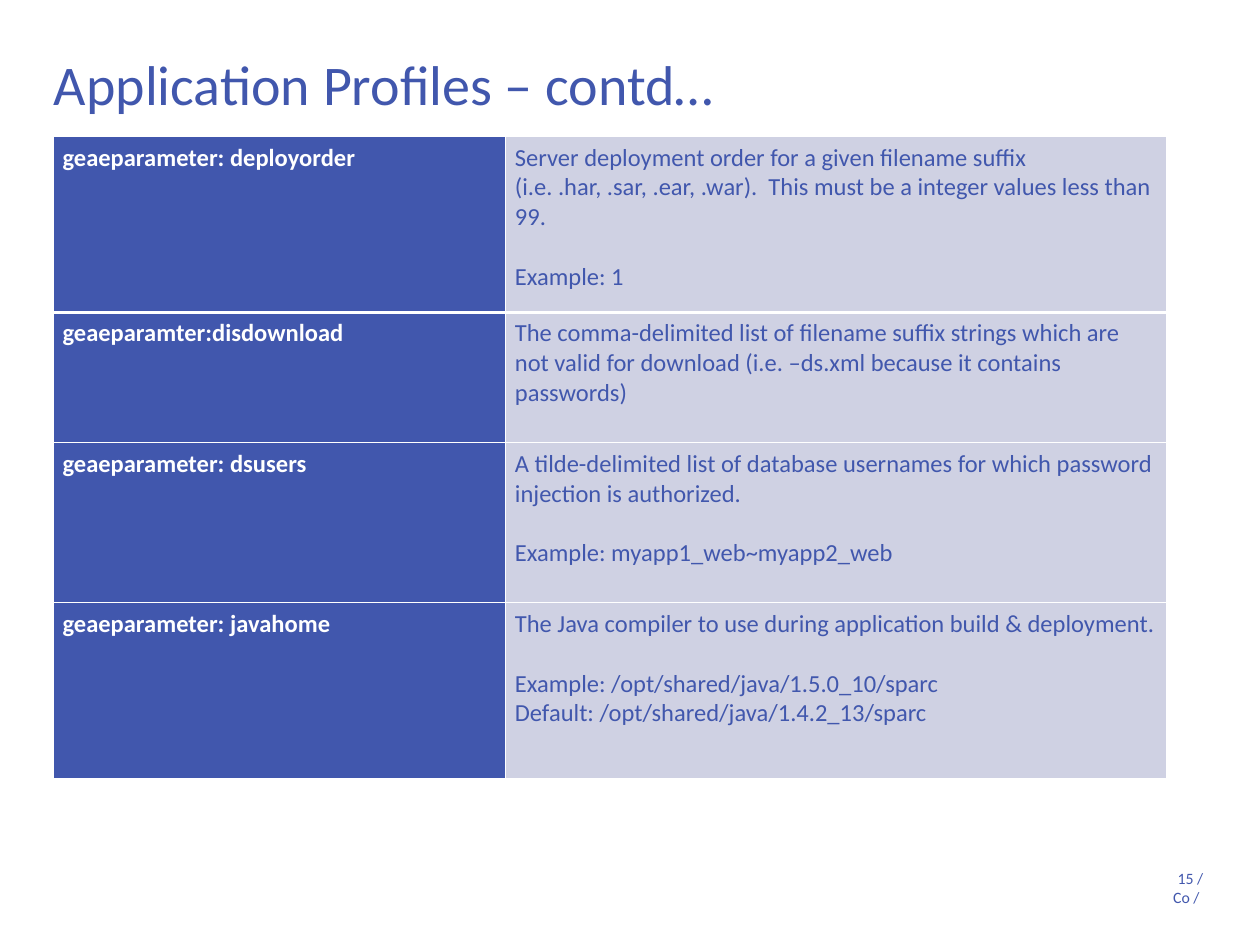
import pptx
import pptx.dml.color
import pptx.enum.text
import pptx.oxml
import pptx.oxml.ns
import pptx.util

Pt = pptx.util.Pt
ALIGN = pptx.enum.text.PP_ALIGN
COLORS = {"blue": "4157AD", "lavender": "CFD1E3", "white": "FFFFFF"}
COLUMN_WIDTHS = [258.5, 378]
ROW_HEIGHTS = [100.5, 74.5, 91.5, 100.5]
THIN_RULE, HEADER_RULE = 0.45, 1.47
GAP = 17
PROFILES = [
    ("geaeparameter: deployorder",
     ["Server deployment order for a given filename suffix (i.e. .har, .sar, .ear, .war).  "
      "This must be a integer values less than 99.",
      "Example: 1"]),
    ("geaeparamter:disdownload",
     ["The comma-delimited list of filename suffix strings which are not valid for download "
      "(i.e. –ds.xml because it contains passwords)"]),
    ("geaeparameter: dsusers",
     ["A tilde-delimited list of database usernames for which password injection is authorized.",
      "Example: myapp1_web~myapp2_web"]),
    ("geaeparameter: javahome",
     ["The Java compiler to use during application build & deployment.",
      "Example: /opt/shared/java/1.5.0_10/sparc",
      "Default: /opt/shared/java/1.4.2_13/sparc"]),
]


def rgb(name):
    return pptx.dml.color.RGBColor.from_string(COLORS[name])


def write(para, text, size=14, color="blue", bold=False, align=ALIGN.LEFT, before=0, line=None):
    para.alignment = align
    para.space_before = Pt(before)
    if line:
        para.line_spacing = Pt(line)
    span = para.add_run()
    span.text = text
    span.font.name = "Calibri"
    span.font.size = Pt(size)
    span.font.bold = bold
    span.font.color.rgb = rgb(color)


def add_text(page, lines, left, top, width, height, inset=(0, 0), **style):
    frame = page.shapes.add_textbox(Pt(left), Pt(top), Pt(width), Pt(height)).text_frame
    frame.word_wrap = True
    frame.margin_left = frame.margin_right = Pt(inset[0])
    frame.margin_top = frame.margin_bottom = Pt(inset[1])
    for index, text in enumerate(lines):
        para = frame.add_paragraph() if index else frame.paragraphs[0]
        write(para, text, **style)


def set_borders(cell, top, bottom):
    properties = cell._tc.get_or_add_tcPr()
    widths = {"lnL": THIN_RULE, "lnR": THIN_RULE, "lnT": top, "lnB": bottom}
    for index, (side, width) in enumerate(widths.items()):
        border = pptx.oxml.parse_xml(
            f'<a:{side} {pptx.oxml.ns.nsdecls("a")} w="{Pt(width)}"><a:solidFill>'
            f'<a:srgbClr val="{COLORS["white"]}"/></a:solidFill></a:{side}>')
        properties.insert(index, border)


def fill_cell(cell, lines, fill, top, bottom, **style):
    cell.fill.solid()
    cell.fill.fore_color.rgb = rgb(fill)
    cell.margin_left = cell.margin_right = Pt(5.5)
    cell.margin_top = cell.margin_bottom = Pt(3.6)
    for index, text in enumerate(lines):
        para = cell.text_frame.add_paragraph() if index else cell.text_frame.paragraphs[0]
        write(para, text, before=GAP if index == 1 else 0, **style)
    set_borders(cell, top, bottom)


def add_profile_table(page, left, top):
    table = page.shapes.add_table(
        len(PROFILES), len(COLUMN_WIDTHS), Pt(left), Pt(top),
        Pt(sum(COLUMN_WIDTHS)), Pt(sum(ROW_HEIGHTS))).table
    for column, width in zip(table.columns, COLUMN_WIDTHS):
        column.width = Pt(width)
    for index, (name, description) in enumerate(PROFILES):
        table.rows[index].height = Pt(ROW_HEIGHTS[index])
        rules = {"top": HEADER_RULE if index == 1 else THIN_RULE,
                 "bottom": HEADER_RULE if index == 0 else THIN_RULE}
        fill_cell(table.cell(index, 0), [name], "blue", color="white", bold=True, **rules)
        fill_cell(table.cell(index, 1), description, "lavender", **rules)


def main():
    deck = pptx.Presentation()
    deck.slide_width, deck.slide_height = Pt(720), Pt(540)
    page = deck.slides.add_slide(deck.slide_layouts[6])
    add_text(page, ["15 /", "Co / "], 371, 496, 316.5, 32, size=9, align=ALIGN.RIGHT, line=11)
    add_text(page, ["Application Profiles – contd…"], 23.75, 24.5, 498, 46,
             inset=(7.2, 3.6), size=32)
    add_profile_table(page, 30.25, 78)
    deck.save("out.pptx")


if __name__ == "__main__":
    main()
